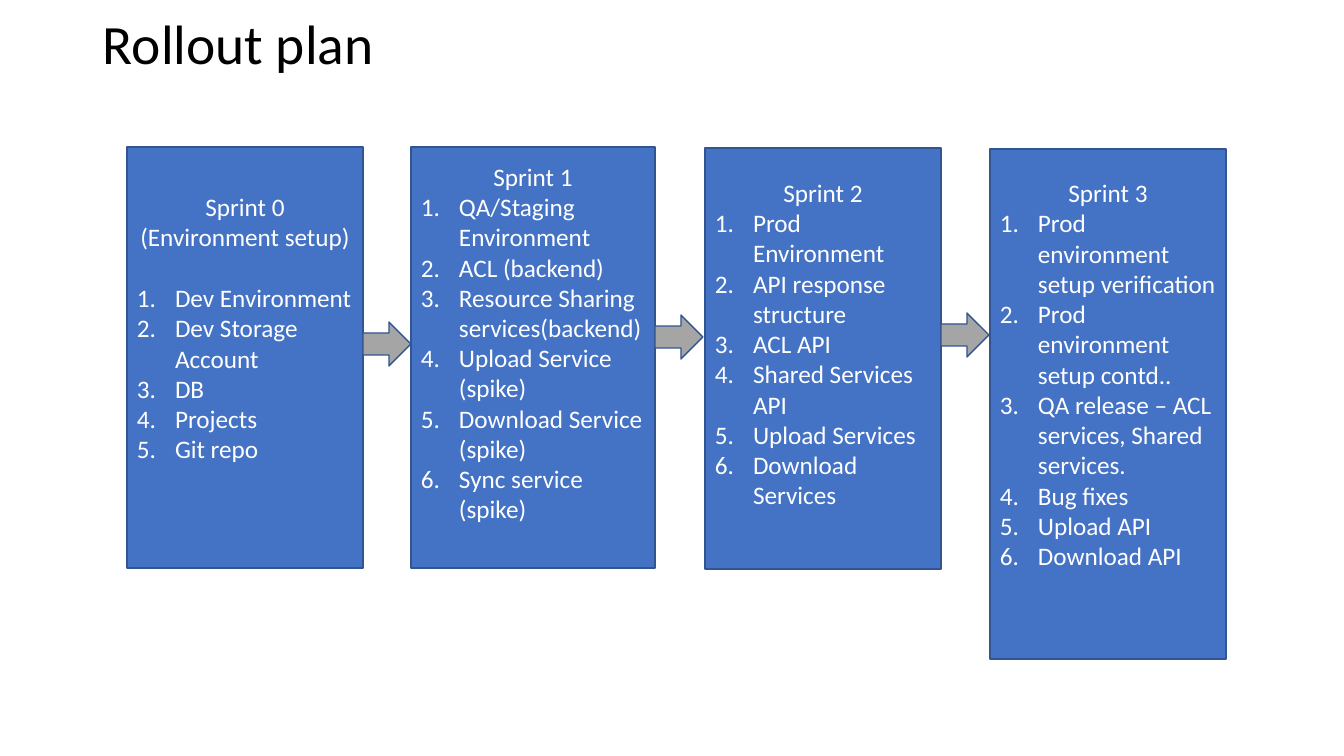
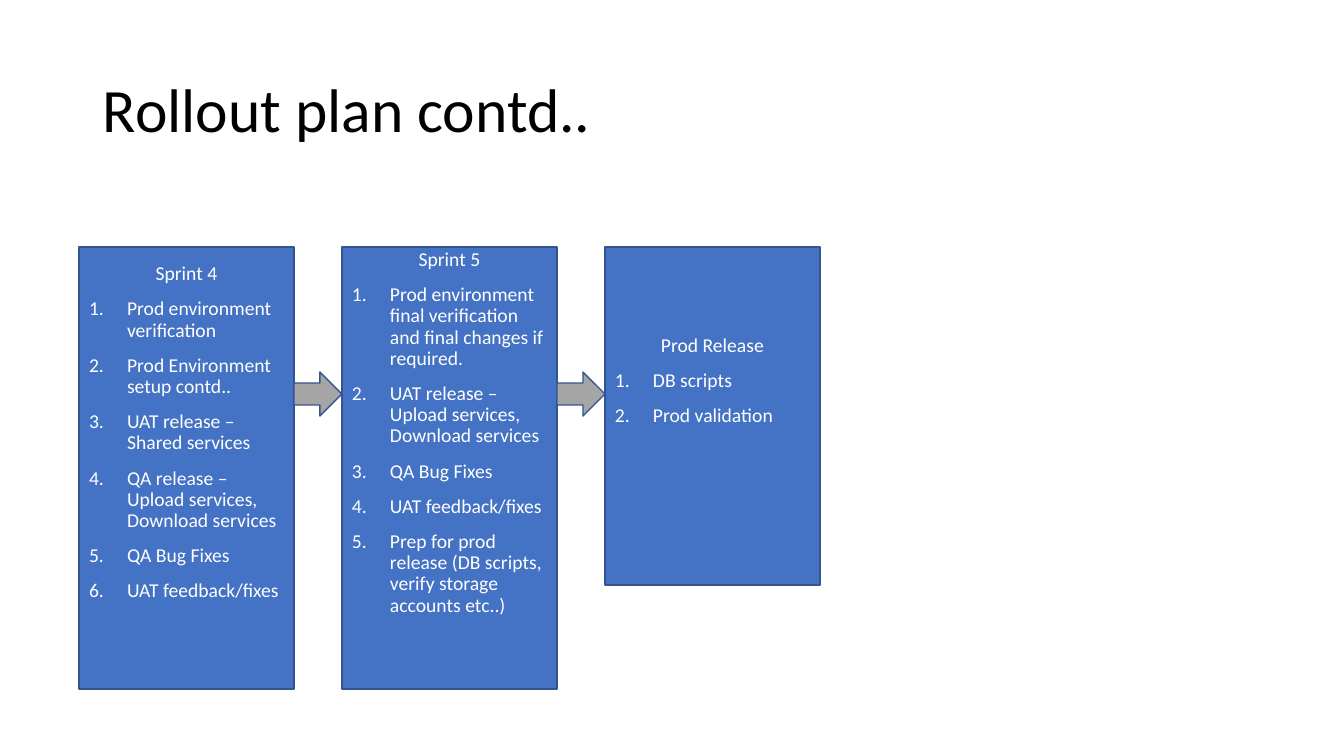
"""Build the two rollout plan slides: sprint boxes joined by arrows."""
from lxml.etree import SubElement
from pptx import Presentation
from pptx.dml.color import RGBColor
from pptx.enum.shapes import MSO_SHAPE as Preset
from pptx.enum.text import MSO_ANCHOR as Anchor, MSO_AUTO_SIZE as AutoSize, PP_ALIGN as Align
from pptx.oxml.ns import qn
from pptx.util import Pt

BLUE = RGBColor(0x44, 0x72, 0xC4)
NAVY = RGBColor(0x32, 0x54, 0x91)
GREY = RGBColor(0xA5, 0xA5, 0xA5)
WHITE = RGBColor(0xFF, 0xFF, 0xFF)
BLACK = RGBColor(0x00, 0x00, 0x00)
FONT = "Calibri"
EMU_PER_PX = 914400 / 100.8
TITLE_ONLY, TITLE_AND_BODY = 5, 1
ARROW_W, ARROW_H = 48, 44
NUMBER_INDENT = 38
INSET = 5
FIRST_LEFT, SPRINT_W, SPRINT_TOP = 79, 215, 247
STEP = SPRINT_W + ARROW_W

FIRST_SPRINTS = [
    {"heading": "Sprint 0 (Environment setup)", "box": (127, 147, 236, 421),
     "room_below": 60, "heading_gap": 22,
     "tasks": ["Dev Environment", "Dev Storage Account", "DB", "Projects", "Git repo"]},
    {"heading": "Sprint 1", "box": (411, 147, 244, 421), "room_below": 30,
     "tasks": ["QA/Staging Environment", "ACL (backend)", "Resource Sharing services(backend)",
               "Upload Service (spike)", "Download Service (spike)", "Sync service (spike)"]},
    {"heading": "Sprint 2", "box": (705, 148, 236, 421), "room_below": 30,
     "tasks": ["Prod Environment", "API response structure", "ACL API",
               "Shared Services API", "Upload Services", "Download Services"]},
    {"heading": "Sprint 3", "box": (990, 149, 236, 510), "room_below": 60,
     "tasks": ["Prod environment setup verification", "Prod environment setup contd..",
               "QA release – ACL services, Shared services.", "Bug fixes",
               "Upload API", "Download API"]},
]
LAST_SPRINTS = [
    {"heading": "Sprint 4", "height": 442,
     "tasks": ["Prod environment verification", "Prod Environment setup contd..",
               "UAT release – Shared services",
               "QA release – Upload services, Download services",
               "QA Bug Fixes", "UAT feedback/fixes"]},
    {"heading": "Sprint 5", "height": 442,
     "tasks": ["Prod environment final verification and final changes if required.",
               "UAT release – Upload services, Download services",
               "QA Bug Fixes", "UAT feedback/fixes",
               "Prep for prod release (DB scripts, verify storage accounts etc..)"]},
    {"heading": "Prod Release", "height": 338,
     "tasks": ["DB scripts", "Prod validation"]},
]
for position, sprint in enumerate(LAST_SPRINTS):
    sprint["box"] = (FIRST_LEFT + position * STEP, SPRINT_TOP, SPRINT_W, sprint["height"])
    sprint["room_below"] = 70

SLIDES = [
    {"title": "Rollout plan", "layout": TITLE_ONLY, "title_box": (93, 40, 1159, 14),
     "title_size": 39.6, "sprints": FIRST_SPRINTS, "arrow_tops": [322, 315, 313],
     "size": 18, "line_spacing": 1.0, "gap": 0},
    {"title": "Rollout plan contd..", "layout": TITLE_AND_BODY, "title_box": (93, 40, 1159, 146),
     "title_size": 44, "sprints": LAST_SPRINTS, "arrow_tops": [372, 372],
     "size": 14, "line_spacing": 0.9, "gap": 10},
]


def px(length):
    return round(length * EMU_PER_PX)


def place(part, box):
    part.left, part.top, part.width, part.height = map(px, box)


def paint(part, fill):
    part.shadow.inherit = False
    part.fill.solid()
    part.fill.fore_color.rgb = fill
    part.line.color.rgb = NAVY
    part.line.width = Pt(1)


def prepare(frame, room_below=0):
    frame.word_wrap = True
    frame.auto_size = AutoSize.NONE
    frame.vertical_anchor = Anchor.MIDDLE
    frame.margin_left = frame.margin_right = px(10)
    frame.margin_top = px(INSET)
    frame.margin_bottom = px(INSET + room_below)


def write(paragraph, text, size, color, align, line_spacing, gap=0):
    paragraph.alignment = align
    paragraph.line_spacing = line_spacing
    paragraph.space_before = Pt(gap)
    paragraph.space_after = Pt(0)
    run = paragraph.add_run()
    run.text = text
    run.font.name = FONT
    run.font.size = Pt(size)
    run.font.color.rgb = color


def number(paragraph, numbered):
    properties = paragraph._p.get_or_add_pPr()
    indent = px(NUMBER_INDENT) if numbered else 0
    properties.set("marL", str(indent))
    properties.set("indent", str(-indent))
    if numbered:
        SubElement(properties, qn("a:buFont"), typeface="+mj-lt")
        SubElement(properties, qn("a:buAutoNum"), type="arabicPeriod")
    else:
        SubElement(properties, qn("a:buNone"))


def add_title(slide, plan):
    place(slide.shapes.title, plan["title_box"])
    frame = slide.shapes.title.text_frame
    prepare(frame)
    write(frame.paragraphs[0], plan["title"], plan["title_size"], BLACK, Align.LEFT, 0.9)


def fill_sprint(part, sprint, plan):
    place(part, sprint["box"])
    paint(part, BLUE)
    frame = part.text_frame
    prepare(frame, sprint["room_below"])
    for row, text in enumerate([sprint["heading"], *sprint["tasks"]]):
        paragraph = frame.add_paragraph() if row else frame.paragraphs[0]
        write(paragraph, text, plan["size"], WHITE, Align.LEFT if row else Align.CENTER,
              plan["line_spacing"], plan["gap"])
        number(paragraph, row > 0)
    frame.paragraphs[0].space_after = Pt(sprint.get("heading_gap", 0))


def build(deck, plan):
    slide = deck.slides.add_slide(deck.slide_layouts[plan["layout"]])
    add_title(slide, plan)
    bodies = [holder for holder in slide.placeholders if holder.placeholder_format.idx == 1]
    for sprint in plan["sprints"]:
        part = bodies.pop() if bodies else slide.shapes.add_shape(
            Preset.RECTANGLE, *map(px, sprint["box"]))
        fill_sprint(part, sprint, plan)
    for sprint, top in zip(plan["sprints"], plan["arrow_tops"]):
        left, _, width, _ = sprint["box"]
        arrow = slide.shapes.add_shape(
            Preset.RIGHT_ARROW, *map(px, (left + width, top, ARROW_W, ARROW_H)))
        paint(arrow, GREY)


deck = Presentation()
deck.slide_width, deck.slide_height = px(1344), px(756)
for plan in SLIDES:
    build(deck, plan)
deck.save("out.pptx")
